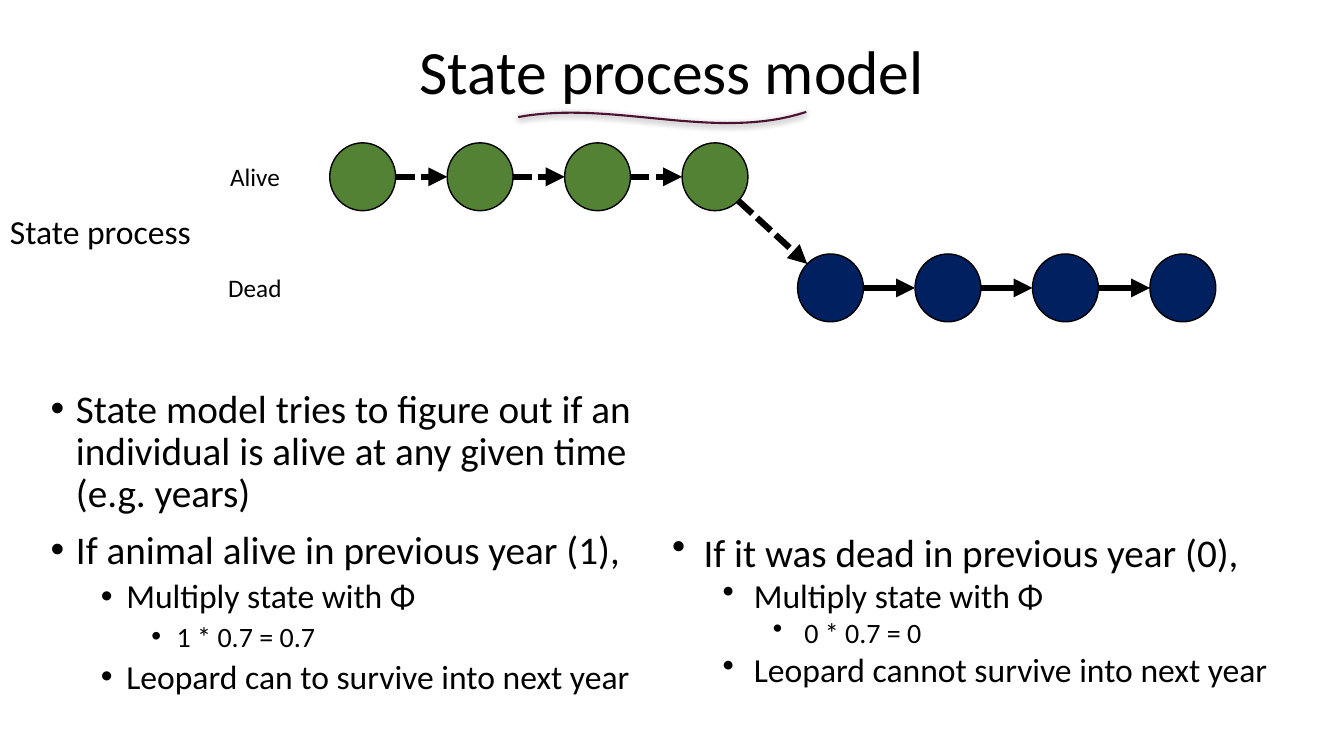
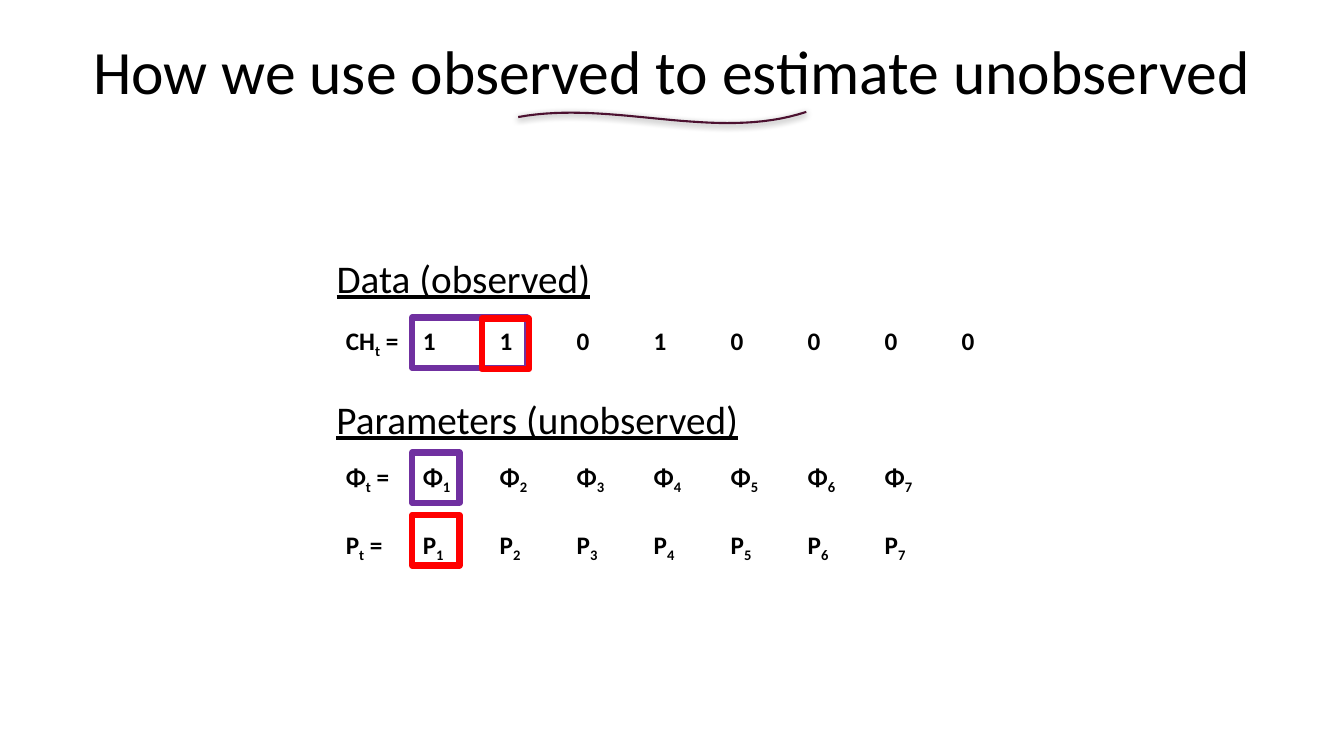
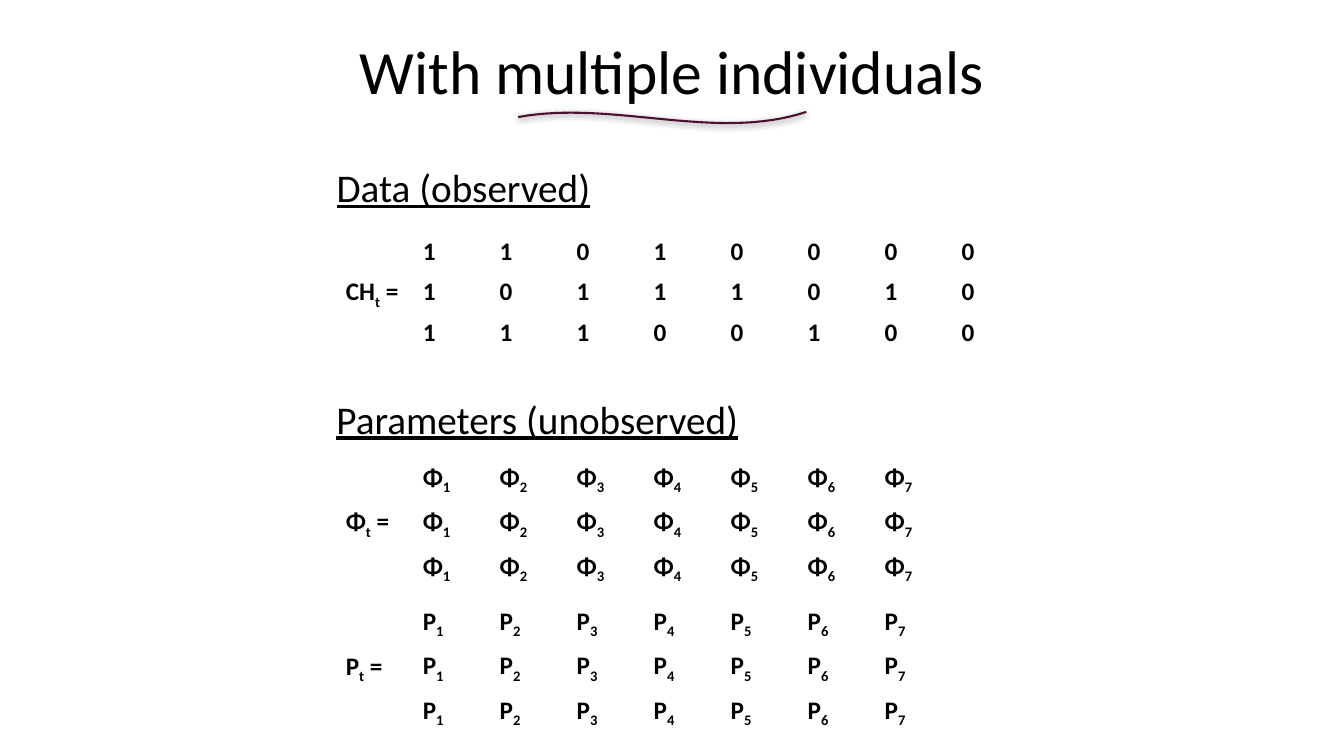
"""Build three slides on estimating survival with a state process model."""
import math
from dataclasses import dataclass
from typing import Any, NamedTuple, Optional, Sequence

from lxml import etree
from pptx import Presentation
from pptx import util as u
from pptx.dml import color
from pptx.enum import dml, shapes, text
from pptx.oxml import ns


@dataclass(frozen=True)
class Theme:
    font: str = "Calibri"
    ink: str = "000000"
    paper: str = "FFFFFF"
    alive: str = "548235"
    dead: str = "002060"
    survival: str = "7030A0"
    detection: str = "FF0000"
    swoosh: str = "4C1130"
    title_size: int = 44
    label_size: int = 18
    process_size: int = 24
    heading_size: int = 28
    level_sizes: tuple[int, ...] = (28, 24, 20)


class Frame(NamedTuple):
    left: float
    top: float
    width: float
    height: float


class Bullet(NamedTuple):
    words: str
    level: int = 0


class ListStyle(NamedTuple):
    indent: float
    line_spacing: Optional[float] = None
    gaps: tuple[int, ...] = (0, 0, 0)


class Term(NamedTuple):
    base: str
    sub: str = ""
    tail: str = ""


class Matrix(NamedTuple):
    label: Term
    rows: Sequence[Sequence[Term]]
    top: float


class StateRow(NamedTuple):
    label: str
    left: float
    top: float
    fill: str
    dash: Optional[Any]


class Highlight(NamedTuple):
    frame: Frame
    colour: str


THEME = Theme()
SLIDE_WIDTH, SLIDE_HEIGHT = 33.87, 19.05
TITLE = Frame(0, 0.05, SLIDE_WIDTH, 3.68)
SWOOSH = ((13.06, 2.95), (15.44, 2.51), (18.03, 3.58), (20.32, 2.82))
SWOOSH_STEPS = 32
LEVEL_STEP = 1.27

CIRCLE_WIDTH, CIRCLE_HEIGHT, CIRCLE_PITCH, CIRCLE_COUNT = 1.66, 1.71, 2.96, 4
ALIVE = StateRow("Alive", 8.31, 3.6, THEME.alive, dml.MSO_LINE.SQUARE_DOT)
DEAD = StateRow("Dead", 20.1, 6.4, THEME.dead, None)

TABLE_LEFT, COLUMN_WIDTH, ROW_HEIGHT, COLUMNS = 8.46, 1.94, 1.03, 9
PARAMETER_TOP = 11.53
HIGHLIGHT_LEFT, HIGHLIGHT_WIDTH, HIGHLIGHT_HEIGHT = 10.39, 1.19, 1.27
HISTORIES = ("11010000", "10111010", "11100100")

ALIVE_LIST = (
    Bullet("State model tries to figure out if an individual is alive at any given time (e.g. years)"),
    Bullet("If animal alive in previous year (1),"),
    Bullet("Multiply state with Φ", 1),
    Bullet("1 * 0.7 = 0.7", 2),
    Bullet("Leopard can to survive into next year", 1),
)
DEAD_LIST = (
    Bullet("If it was dead in previous year (0),"),
    Bullet("Multiply state with Φ", 1),
    Bullet("0 * 0.7 = 0", 2),
    Bullet("Leopard cannot survive into next year", 1),
)


def rgb(value: str) -> color.RGBColor:
    return color.RGBColor.from_string(value)


def lengths(frame: Frame) -> list[u.Length]:
    return [u.Cm(value) for value in frame]


def assign(target: Any, values: dict[str, Any]) -> None:
    for name, value in values.items():
        setattr(target, name, value)


def add_element(parent: Any, tag: str, **attributes: Any) -> Any:
    values = {name: str(value) for name, value in attributes.items()}
    return etree.SubElement(parent, ns.qn(tag), values)


def style_font(font: Any, size: int, **values: Any) -> None:
    assign(font, {"name": THEME.font, "size": u.Pt(size), **values})
    font.color.rgb = rgb(THEME.ink)


def style_line(line: Any, colour: str, width: float) -> None:
    line.color.rgb = rgb(colour)
    line.width = u.Pt(width)


def place(box: Any, frame: Frame) -> None:
    assign(box, dict(zip(("left", "top", "width", "height"), lengths(frame))))


def prepare_text(box: Any, wrap: bool = True) -> Any:
    assign(box.text_frame, {"word_wrap": wrap, "auto_size": text.MSO_AUTO_SIZE.NONE})
    return box.text_frame


def add_swoosh(page: Any) -> None:
    points = []
    for step in range(SWOOSH_STEPS + 1):
        t = step / SWOOSH_STEPS
        weights = [math.comb(3, k) * t**k * (1 - t) ** (3 - k) for k in range(4)]
        points.append(tuple(
            u.Cm(sum(weight * point[axis] for weight, point in zip(weights, SWOOSH)))
            for axis in range(2)
        ))
    builder = page.shapes.build_freeform(*points[0])
    builder.add_line_segments(points[1:], close=False)
    curve = builder.convert_to_shape()
    curve.fill.background()
    style_line(curve.line, THEME.swoosh, 1.5)
    curve.shadow.inherit = False
    effects = curve._element.spPr.find(ns.qn("a:effectLst"))
    shadow = add_element(effects, "a:outerShdw", blurRad=u.Pt(4.5), dist=u.Pt(1.5),
                         dir=90 * 60000, algn="bl", rotWithShape=0)
    tint = add_element(shadow, "a:srgbClr", val=THEME.ink)
    add_element(tint, "a:alpha", val=50000)


def add_page(deck: Any, title: str) -> Any:
    page = deck.slides.add_slide(deck.slide_layouts[1])
    box = page.shapes.title
    place(box, TITLE)
    frame = prepare_text(box)
    frame.vertical_anchor = text.MSO_ANCHOR.MIDDLE
    para = frame.paragraphs[0]
    para.text = title
    assign(para, {"alignment": text.PP_ALIGN.CENTER, "line_spacing": 0.9})
    style_font(para.font, THEME.title_size)
    add_swoosh(page)
    return page


def fill_list(box: Any, bullets: Sequence[Bullet], style: ListStyle) -> None:
    frame = prepare_text(box)
    for index, bullet in enumerate(bullets):
        para = frame.add_paragraph() if index else frame.paragraphs[0]
        para.text = bullet.words
        properties = para._p.get_or_add_pPr()
        properties.set("marL", str(u.Cm(style.indent + bullet.level * LEVEL_STEP)))
        properties.set("indent", str(u.Cm(-style.indent)))
        add_element(properties, "a:buChar", char="•")
        assign(para, {
            "level": bullet.level,
            "line_spacing": style.line_spacing,
            "space_before": u.Pt(style.gaps[bullet.level] if index else 0),
        })
        style_font(para.font, THEME.level_sizes[bullet.level])


def fill_heading(box: Any, words: str) -> None:
    para = prepare_text(box).paragraphs[0]
    para.text = words
    properties = para._p.get_or_add_pPr()
    assign_margins = {"marL": "0", "indent": "0"}
    for name, value in assign_margins.items():
        properties.set(name, value)
    add_element(properties, "a:buNone")
    assign(para, {"line_spacing": 0.8, "space_before": u.Pt(0)})
    style_font(para.font, THEME.heading_size, underline=True)


def add_label(page: Any, words: str, frame: Frame, size: int, align: Any) -> None:
    box = page.shapes.add_textbox(*lengths(frame))
    para = prepare_text(box, wrap=False).paragraphs[0]
    para.text = words
    para.alignment = align
    style_font(para.font, size)


def add_arrow(page: Any, start: tuple[float, float], end: tuple[float, float],
              dash: Optional[Any]) -> None:
    ends = [u.Cm(value) for value in (*start, *end)]
    arrow = page.shapes.add_connector(shapes.MSO_CONNECTOR.STRAIGHT, *ends)
    style_line(arrow.line, THEME.ink, 4.5)
    if dash is not None:
        arrow.line.dash_style = dash
    add_element(arrow.line._get_or_add_ln(), "a:tailEnd", type="triangle")
    add_element(arrow._element.spPr, "a:effectLst")


def add_state_row(page: Any, row: StateRow) -> None:
    middle = row.top + CIRCLE_HEIGHT / 2
    for index in range(CIRCLE_COUNT):
        left = row.left + index * CIRCLE_PITCH
        frame = Frame(left, row.top, CIRCLE_WIDTH, CIRCLE_HEIGHT)
        circle = page.shapes.add_shape(shapes.MSO_SHAPE.OVAL, *lengths(frame))
        circle.shadow.inherit = False
        circle.fill.solid()
        circle.fill.fore_color.rgb = rgb(row.fill)
        style_line(circle.line, THEME.ink, 1)
        if index:
            add_arrow(page, (left - CIRCLE_PITCH + CIRCLE_WIDTH, middle), (left, middle), row.dash)
    add_label(page, row.label, Frame(5.5, row.top + 0.35, 1.85, 1.02),
              THEME.label_size, text.PP_ALIGN.CENTER)


def add_death_arrow(page: Any) -> None:
    def rim(row: StateRow, index: int, side: int) -> tuple[float, float]:
        reach = 0.5 + side * math.sqrt(0.5) / 2
        left = row.left + index * CIRCLE_PITCH
        return left + CIRCLE_WIDTH * reach, row.top + CIRCLE_HEIGHT * reach

    add_arrow(page, rim(ALIVE, CIRCLE_COUNT - 1, 1), rim(DEAD, 0, -1), ALIVE.dash)


def write_term(cell: Any, term: Term) -> None:
    para = cell.text_frame.paragraphs[0]
    for words, lowered in ((term.base, False), (term.sub, True), (term.tail, False)):
        if words:
            span = para.add_run()
            span.text = words
            style_font(span.font, THEME.label_size, bold=True)
            if lowered:
                span._r.get_or_add_rPr().set("baseline", "-25000")


def style_cell(cell: Any, bottom: int) -> None:
    properties = cell._tc.get_or_add_tcPr()
    for tag, width in {"a:lnL": 1, "a:lnR": 1, "a:lnT": 1, "a:lnB": bottom}.items():
        border = add_element(properties, tag, w=u.Pt(width))
        add_element(add_element(border, "a:solidFill"), "a:srgbClr", val=THEME.paper)
    cell.fill.background()


def add_matrix(page: Any, matrix: Matrix) -> None:
    count = len(matrix.rows)
    frame = Frame(TABLE_LEFT, matrix.top, COLUMNS * COLUMN_WIDTH, count * ROW_HEIGHT)
    table = page.shapes.add_table(count, COLUMNS, *lengths(frame)).table
    assign(table, {"first_row": False, "horz_banding": False})
    for row_index, terms in enumerate(matrix.rows):
        for column in range(COLUMNS):
            style_cell(table.cell(row_index, column), 1 if row_index else 3)
        for column, term in enumerate(terms, start=1):
            write_term(table.cell(row_index, column), term)
    label = table.cell(0, 0)
    write_term(label, matrix.label)
    if count > 1:
        label.merge(table.cell(count - 1, 0))
        label.vertical_anchor = text.MSO_ANCHOR.MIDDLE


def history_matrix(histories: Sequence[str], top: float) -> Matrix:
    return Matrix(Term("CH", "t", " ="), [[Term(digit) for digit in line] for line in histories], top)


def parameter_matrix(symbol: str, count: int, top: float) -> Matrix:
    line = [Term(symbol, str(number)) for number in range(1, COLUMNS - 1)]
    return Matrix(Term(symbol, "t", " ="), [line] * count, top)


def add_highlight(page: Any, highlight: Highlight) -> None:
    box = page.shapes.add_shape(shapes.MSO_SHAPE.RECTANGLE, *lengths(highlight.frame))
    box.shadow.inherit = False
    box.fill.background()
    style_line(box.line, highlight.colour, 4.5)


def build_state_page(deck: Any) -> None:
    page = add_page(deck, "State process model")
    body = page.placeholders[1]
    place(body, Frame(1.02, 9.68, 15.34, 8.66))
    fill_list(body, ALIVE_LIST, ListStyle(0.64, 0.9, (10, 5, 5)))
    for row in (ALIVE, DEAD):
        add_state_row(page, row)
    add_death_arrow(page)
    add_label(page, "State process", Frame(0, 5.18, 5.11, 1.27),
              THEME.process_size, text.PP_ALIGN.LEFT)
    box = page.shapes.add_textbox(*lengths(Frame(16.69, 13.18, 16.94, 4.52)))
    fill_list(box, DEAD_LIST, ListStyle(0.79))


def build_matrix_page(deck: Any, title: str, histories: Sequence[str], data_top: float,
                      detection_top: float, highlights: Sequence[Highlight] = ()) -> None:
    page = add_page(deck, title)
    body = page.placeholders[1]
    place(body, Frame(8.23, data_top, 9.68, 1.27))
    fill_heading(body, "Data (observed)")
    box = page.shapes.add_textbox(*lengths(Frame(8.23, 10.06, 12.88, 1.27)))
    fill_heading(box, "Parameters (unobserved)")
    count = len(histories)
    add_matrix(page, history_matrix(histories, data_top + 1.6))
    add_matrix(page, parameter_matrix("Φ", count, PARAMETER_TOP))
    add_matrix(page, parameter_matrix("P", count, detection_top))
    for highlight in highlights:
        add_highlight(page, highlight)


def main() -> None:
    deck = Presentation()
    assign(deck, {"slide_width": u.Cm(SLIDE_WIDTH), "slide_height": u.Cm(SLIDE_HEIGHT)})
    build_state_page(deck)
    single = (HIGHLIGHT_WIDTH, HIGHLIGHT_HEIGHT)
    highlights = (
        Highlight(Frame(HIGHLIGHT_LEFT, 8, 2.9, HIGHLIGHT_HEIGHT), THEME.survival),
        Highlight(Frame(HIGHLIGHT_LEFT, 11.4, *single), THEME.survival),
        Highlight(Frame(HIGHLIGHT_LEFT, 12.98, *single), THEME.detection),
        Highlight(Frame(12.14, 8.03, *single), THEME.detection),
    )
    build_matrix_page(deck, "How we use observed to estimate unobserved",
                      HISTORIES[:1], 6.5, 13.23, highlights)
    build_matrix_page(deck, "With multiple individuals", HISTORIES, 4.22, 15.16)
    deck.save("out.pptx")


if __name__ == "__main__":
    main()
